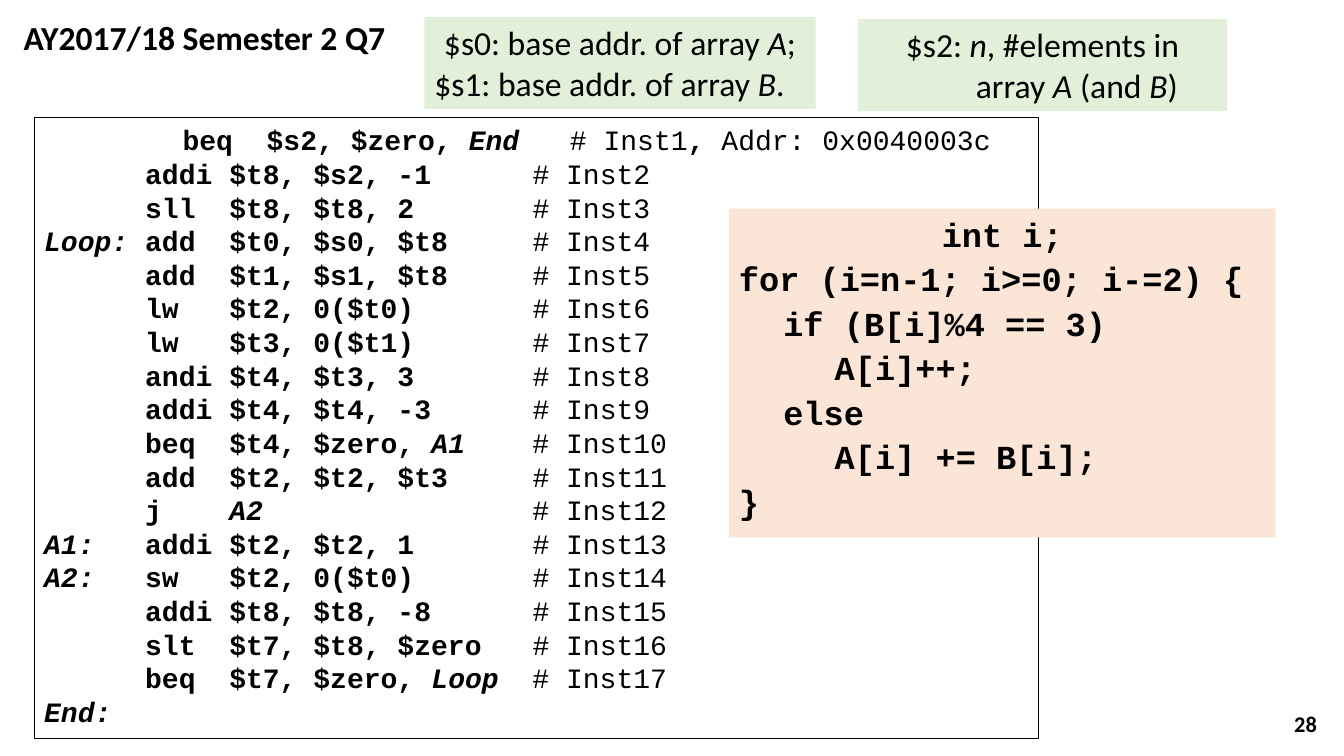
import pptx
import pptx.util
import pptx.dml.color
import pptx.enum.shapes
import pptx.enum.text
import pptx.oxml
import pptx.oxml.ns

Pt = pptx.util.Pt
Inches = pptx.util.Inches
RGBColor = pptx.dml.color.RGBColor
MSO_ANCHOR = pptx.enum.text.MSO_ANCHOR
PP_ALIGN = pptx.enum.text.PP_ALIGN

BLACK = RGBColor(0x00, 0x00, 0x00)
PEACH = RGBColor(0xFB, 0xE5, 0xD6)
GREEN = RGBColor(0xE2, 0xF0, 0xD9)

deck = pptx.Presentation()
deck.slide_width = Inches(13.33)
deck.slide_height = Inches(7.5)
COLUMN = deck.slide_width / 100
ROW = deck.slide_height / 100
page = deck.slides.add_slide(deck.slide_layouts.get_by_name("Title Only"))


def add_box(left, top, width, height, fill=None):
    """Add a rectangle placed in grid columns and rows, outlined when it has no fill."""
    box = page.shapes.add_shape(
        pptx.enum.shapes.MSO_SHAPE.RECTANGLE,
        int(left * COLUMN), int(top * ROW), int(width * COLUMN), int(height * ROW))
    box.shadow.inherit = False
    if fill is None:
        box.fill.background()
        box.line.color.rgb = BLACK
        box.line.width = Pt(0.75)
    else:
        box.fill.solid()
        box.fill.fore_color.rgb = fill
        box.line.fill.background()
    box.text_frame.word_wrap = True
    box.text_frame.vertical_anchor = MSO_ANCHOR.TOP
    return box


def write(para, text, font, size, bold=False):
    """Append text to a paragraph; parts between asterisks are italic."""
    for index, part in enumerate(text.split("*")):
        if part:
            span = para.add_run()
            span.text = part
            span.font.name = font
            span.font.size = Pt(size)
            span.font.bold = bold
            span.font.italic = index % 2 == 1
            span.font.color.rgb = BLACK
    if para.alignment is None:
        para.alignment = PP_ALIGN.LEFT


# Title
title = page.shapes.title
title.left, title.top = int(1 * COLUMN), int(1.6 * ROW)
title.width, title.height = int(30.6 * COLUMN), int(6.67 * ROW)
title.text_frame.vertical_anchor = MSO_ANCHOR.TOP
title.text_frame.auto_size = pptx.enum.text.MSO_AUTO_SIZE.NONE
write(title.text_frame.paragraphs[0], "AY2017/18 Semester 2 Q7", "Calibri", 24, True)

# Page number
number = page.shapes.add_textbox(
    int(76.22 * COLUMN), int(93.07 * ROW), int(22.5 * COLUMN), int(5.33 * ROW))
number.text_frame.word_wrap = True
number.text_frame.vertical_anchor = MSO_ANCHOR.MIDDLE
number.text_frame.paragraphs[0].alignment = PP_ALIGN.RIGHT
write(number.text_frame.paragraphs[0], "28", "Calibri", 16, True)

# Assembly listing: label, instruction
LABEL_WIDTH, INSTRUCTION_WIDTH = 6, 23
instructions = [
    ("", "beq  $s2, $zero, *End*"),
    ("", "addi $t8, $s2, -1"),
    ("", "sll  $t8, $t8, 2"),
    ("Loop:", "add  $t0, $s0, $t8"),
    ("", "add  $t1, $s1, $t8"),
    ("", "lw   $t2, 0($t0)"),
    ("", "lw   $t3, 0($t1)"),
    ("", "andi $t4, $t3, 3"),
    ("", "addi $t4, $t4, -3"),
    ("", "beq  $t4, $zero, *A1*"),
    ("", "add  $t2, $t2, $t3"),
    ("", "j    *A2*"),
    ("A1:", "addi $t2, $t2, 1"),
    ("A2:", "sw   $t2, 0($t0)"),
    ("", "addi $t8, $t8, -8"),
    ("", "slt  $t7, $t8, $zero"),
    ("", "beq  $t7, $zero, *Loop*"),
]
listing = add_box(2.55, 15.6, 74.7, 82.13).text_frame
for count, (label, instruction) in enumerate(instructions, 1):
    para = listing.paragraphs[0] if count == 1 else listing.add_paragraph()
    padded = instruction.ljust(INSTRUCTION_WIDTH + instruction.count("*"))
    write(para, f"*{label.ljust(LABEL_WIDTH)}*{padded}", "Courier New", 20, True)
    write(para, f"# Inst{count}", "Courier New", 20)
write(listing.paragraphs[0], ", ", "Courier New", 20, True)
write(listing.paragraphs[0], "Addr: 0x0040003c", "Courier New", 20)
write(listing.add_paragraph(), "*End:*", "Courier New", 20, True)

# C program
program_lines = [
    "int i;",
    "for (i=n-1; i>=0; i-=2) {",
    "\t if (B[i]%4 == 3)",
    "\t\t  A[i]++;",
    "\t else",
    "\t\t  A[i] += B[i];",
    "}",
]
program = add_box(54.24, 27.6, 40.66, 43.47, PEACH).text_frame
for index, line in enumerate(program_lines):
    para = program.paragraphs[0] if index == 0 else program.add_paragraph()
    para.space_after = Pt(3)
    tabs = pptx.oxml.parse_xml(f"<a:tabLst {pptx.oxml.ns.nsdecls('a')}/>")
    for position in (0.24, 0.55, 0.86):
        tabs.append(pptx.oxml.parse_xml(
            f"<a:tab {pptx.oxml.ns.nsdecls('a')} pos='{Inches(position)}' algn='l'/>"))
    para._p.get_or_add_pPr().append(tabs)
    write(para, line, "Courier New", 24, True)

# Register notes
arrays = add_box(31.58, 2.27, 29.11, 12.13, GREEN).text_frame
write(arrays.paragraphs[0], "$s0: base addr. of array *A*;", "Calibri", 24)
write(arrays.add_paragraph(), "$s1: base addr. of array *B*.", "Calibri", 24)

length = add_box(63.84, 2.53, 27.46, 12.13, GREEN).text_frame.paragraphs[0]
hanging = length._p.get_or_add_pPr()
hanging.set("marL", str(Inches(0.68)))
hanging.set("indent", str(-Inches(0.68)))
write(length, "$s2: *n*, #elements in array *A* (and *B*)", "Calibri", 24)

deck.save("out.pptx")
